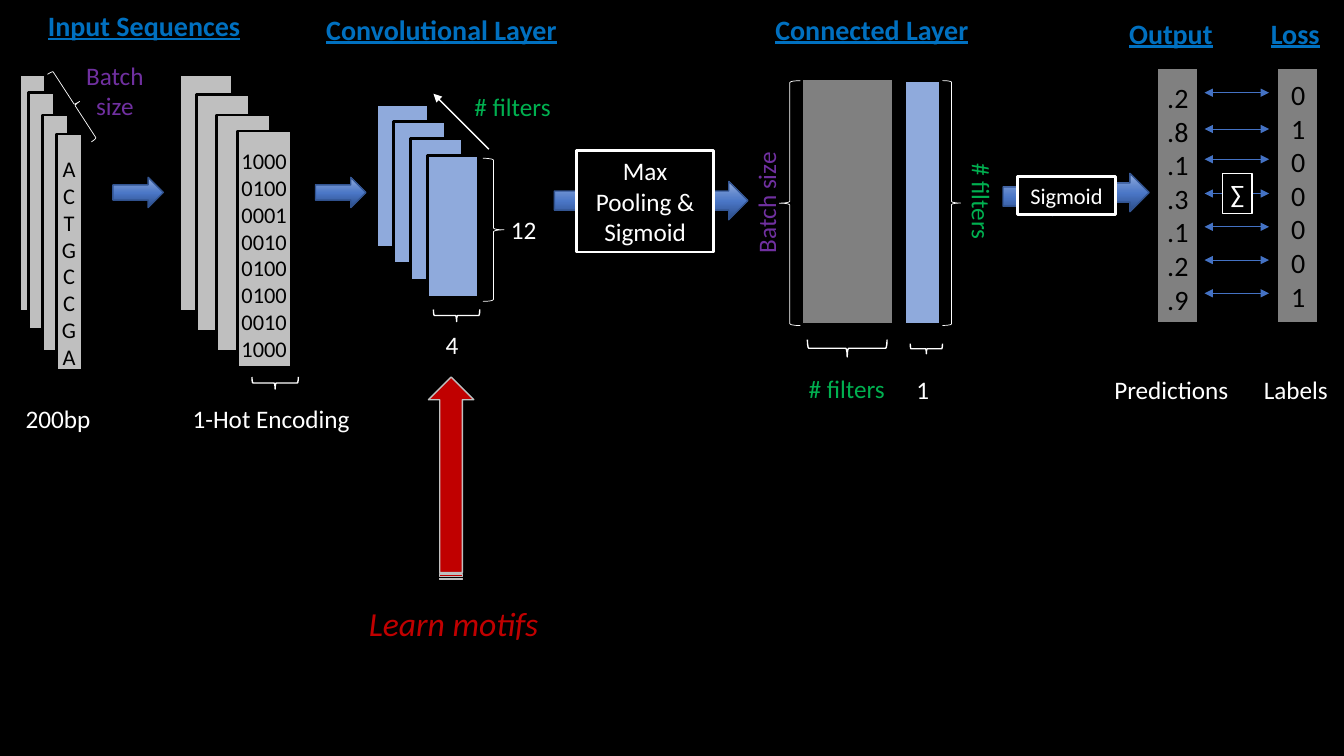
import copy
from dataclasses import dataclass

import lxml.etree
import pptx
import pptx.dml.color
import pptx.enum.shapes
import pptx.enum.text
import pptx.oxml.ns
import pptx.util

KIND = pptx.enum.shapes.MSO_SHAPE
BLACK, WHITE, SILVER, GRAY = "000000", "FFFFFF", "BFBFBF", "808080"
SKY, BLUE, EDGE, LINK = "8FAADC", "0070C0", "325491", "4472C4"
GREEN, PURPLE, RED = "00B050", "7030A0", "C00000"
SHADES = [(0, "2A4B86"), (0.48, "4A76C6"), (1, SKY)]


@dataclass
class Cell:
    """Frame in grid columns and rows, each a tenth of an inch."""
    left: float
    top: float
    wide: float
    high: float
    turn: int = 0


@dataclass
class Text:
    words: str
    size: int = 18
    hue: str = WHITE
    head: bool = False
    slant: bool = False


@dataclass
class Form:
    kind: int
    cell: Cell
    fill: str | None
    line: str
    weight: float
    text: Text | None = None


@dataclass
class Link:
    start: tuple[float, float]
    end: tuple[float, float]
    line: str
    weight: float
    both: bool


def grid(count: float) -> int:
    return pptx.util.Inches(count / 10)


def color(code: str) -> pptx.dml.color.RGBColor:
    return pptx.dml.color.RGBColor.from_string(code)


def place(shape, cell: Cell) -> None:
    shape.left, shape.top = grid(cell.left), grid(cell.top)
    shape.width, shape.height = grid(cell.wide), grid(cell.high)
    shape.rotation = cell.turn


def write(shape, text: Text, anchor: int) -> None:
    frame = shape.text_frame
    frame.text = text.words
    frame.word_wrap = True
    frame.auto_size = pptx.enum.text.MSO_AUTO_SIZE.NONE
    frame.vertical_anchor = anchor
    side = grid(1) if shape.width > grid(10) else 0
    frame.margin_left = frame.margin_right = side
    frame.margin_top = frame.margin_bottom = grid(0.5)
    for para in frame.paragraphs:
        para.alignment = pptx.enum.text.PP_ALIGN.CENTER
        for run in para.runs:
            run.font.name = "Calibri"
            run.font.size = pptx.util.Pt(text.size)
            run.font.color.rgb = color(text.hue)
            run.font.bold = run.font.underline = text.head
            run.font.italic = text.slant


def note(slide, cell: Cell, text: Text) -> None:
    box = slide.shapes.add_textbox(0, 0, 0, 0)
    place(box, cell)
    write(box, text, pptx.enum.text.MSO_ANCHOR.TOP)


def shade(shape) -> None:
    shape.fill.gradient()
    shape.fill.gradient_angle = 90
    stops = shape._element.spPr.find(".//" + pptx.oxml.ns.qn("a:gsLst"))
    stops.append(copy.deepcopy(stops[-1]))
    for stop, (spot, code) in zip(shape.fill.gradient_stops, SHADES):
        stop.position, stop.color.rgb = spot, color(code)


def draw(slide, form: Form) -> None:
    shape = slide.shapes.add_shape(form.kind, 0, 0, 0, 0)
    place(shape, form.cell)
    shape.shadow.inherit = False
    if form.fill == "shade":
        shade(shape)
    elif form.fill:
        shape.fill.solid()
        shape.fill.fore_color.rgb = color(form.fill)
    else:
        shape.fill.background()
    shape.line.color.rgb = color(form.line)
    shape.line.width = pptx.util.Pt(form.weight)
    if form.text:
        write(shape, form.text, pptx.enum.text.MSO_ANCHOR.MIDDLE)


def join(slide, link: Link) -> None:
    ends = [grid(count) for count in link.start + link.end]
    wire = slide.shapes.add_connector(pptx.enum.shapes.MSO_CONNECTOR.STRAIGHT, *ends)
    wire.line.color.rgb = color(link.line)
    wire.line.width = pptx.util.Pt(link.weight)
    line = wire.line._ln
    for tag in ["a:headEnd", "a:tailEnd"] if link.both else ["a:tailEnd"]:
        lxml.etree.SubElement(line, pptx.oxml.ns.qn(tag), type="triangle")
    lxml.etree.SubElement(wire._element.spPr, pptx.oxml.ns.qn("a:effectLst"))


def bar(cell: Cell, fill: str, weight: float = 2) -> Form:
    return Form(KIND.RECTANGLE, cell, fill, BLACK, weight)


def frame(cell: Cell, text: Text, weight: float = 2) -> Form:
    return Form(KIND.RECTANGLE, cell, BLACK, WHITE, weight, text)


# Stacks of sequences, encodings and filters
STRANDS = [(1.9, 7.4), (2.8, 9.2), (4.2, 11.4), (5.6, 13.3)]
CODES = [(17.8, 7.4), (19.5, 9.4), (21.5, 11.4), (23.6, 13)]
BARS = [bar(Cell(x, y, 2.6, 23.5), SILVER) for x, y in STRANDS]
BARS += [bar(Cell(x, y, 5.3, 23.5), SILVER) for x, y in CODES]
BARS += [bar(Cell(37.4 + 1.67 * i, 10.4 + 1.67 * i, 5.1, 14.1), SKY) for i in range(4)]

# Connected layer, predictions and labels
BARS += [bar(Cell(79.6, 7.9, 9, 24.2), GRAY, 1), bar(Cell(89.7, 8, 3.6, 24.2), SKY)]
BARS += [bar(Cell(x, 6.8, 4, 25.2), GRAY, 1) for x in (114.8, 126.7)]

# Block arrows between the stages
FLOW = [Cell(11.2, 17.6, 5, 3), Cell(31.3, 17.6, 5, 3),
        Cell(55, 18, 6.8, 3.8), Cell(66.5, 18, 7.7, 3.8),
        Cell(106.3, 17.2, 7.7, 3.8), Cell(99.5, 17.6, 6.8, 3.8)]
ARROWS = [Form(KIND.RIGHT_ARROW, cell, "shade", EDGE, 1) for cell in FLOW]
ARROWS.append(Form(KIND.STRIPED_RIGHT_ARROW, Cell(34.7, 45.2, 20.1, 4.5, 270), RED, SILVER, 1))

# Braces under and beside the stacks
UNDER = [Cell(26.7, 35.7, 1.2, 4.6, 270), Cell(44.7, 29, 1.2, 4.6, 270),
         Cell(83.2, 30.6, 1.7, 7.9, 270), Cell(91.4, 33, 1, 3.2, 270)]
BESIDE = [Cell(47.9, 15.7, 2.1, 14.2), Cell(77.3, 8, 2.1, 24.3, 180),
          Cell(6.8, 6.4, 1.2, 8, 327), Cell(93.5, 8, 1.8, 24.3)]
BRACES = [Form(KIND.LEFT_BRACE, cell, None, WHITE, 1) for cell in UNDER]
BRACES += [Form(KIND.RIGHT_BRACE, cell, None, WHITE, 0.5) for cell in BESIDE]

# Boxed steps
STEPS = [frame(Cell(57.2, 14.9, 13.6, 10.1), Text("Max Pooling & Sigmoid")),
         frame(Cell(100.9, 17.5, 9.8, 3.8), Text("Sigmoid", 16)),
         frame(Cell(121.3, 17.2, 2.9, 4), Text("∑"), 1)]

# Thin arrows
ROWS = [9.2, 12.8, 15.8, 19.2, 22.5, 25.8, 29.1]
LINKS = [Link((119.5, y), (125.9, y), LINK, 0.5, True) for y in ROWS]
LINKS.append(Link((48.5, 14.8), (43, 9.3), WHITE, 1, False))

# Headings, the first of which is the slide title
TITLE = (Cell(1, 0.3, 26.6, 4.4), "Input Sequences")
HEADS = [(Cell(30.3, 0.7, 27, 4.4), "Convolutional Layer"),
         (Cell(70.3, 0.7, 32.4, 4.4), "Connected Layer"),
         (Cell(101.7, 1.1, 28.9, 4.4), "Output"),
         (Cell(121.2, 1.1, 14.6, 4.4), "Loss")]

# Captions and values
NOTES = [(cell, Text(words, 20, BLUE, head=True)) for cell, words in HEADS]
NOTES += [
    (Cell(15.6, 39.5, 22.6, 4), Text("1-Hot Encoding")),
    (Cell(0.4, 39.5, 10.7, 4), Text("200bp")),
    (Cell(49.3, 20.8, 5.3, 4), Text("12")),
    (Cell(42.2, 32.2, 5.3, 4), Text("4")),
    (Cell(88.9, 36.6, 5.3, 4), Text("1")),
    (Cell(109.2, 36.6, 14, 4), Text("Predictions")),
    (Cell(123.2, 36.6, 10.7, 4), Text("Labels")),
    (Cell(42.2, 8.6, 17.3, 4), Text("# filters", hue=GREEN)),
    (Cell(72.7, 36.5, 22.6, 4), Text("# filters", hue=GREEN)),
    (Cell(86.1, 18, 22.6, 4, 90), Text("# filters", hue=GREEN)),
    (Cell(64.7, 18.1, 22.6, 4, 270), Text("Batch size", hue=PURPLE)),
    (Cell(0.1, 5.5, 22.6, 7.1), Text("Batch\vsize", hue=PURPLE)),
    (Cell(30, 59.3, 30, 5), Text("Learn motifs", 24, RED, slant=True)),
    (Cell(5.3, 14.9, 3.1, 22.6), Text("\n".join("ACTGCCGA"), 16, BLACK)),
    (Cell(22.7, 14.1, 7, 22.6),
     Text("1000\n0100\n0001\n0010\n0100\n0100\n0010\n1000", 16, BLACK)),
    (Cell(126.8, 7.2, 4, 24.6), Text("\n".join("0100001"), 20, BLACK)),
    (Cell(114.4, 7.5, 4.9, 24.6), Text(".2\n.8\n.1\n.3\n.1\n.2\n.9", 20, BLACK)),
]


def main() -> None:
    deck = pptx.Presentation()
    deck.slide_width, deck.slide_height = grid(133.33), grid(75)
    slide = deck.slides.add_slide(deck.slide_layouts[5])
    slide.background.fill.solid()
    slide.background.fill.fore_color.rgb = color(BLACK)
    cell, words = TITLE
    place(slide.shapes.title, cell)
    write(slide.shapes.title, Text(words, 20, BLUE, head=True), pptx.enum.text.MSO_ANCHOR.TOP)
    for link in LINKS:
        join(slide, link)
    for form in BARS + ARROWS + BRACES + STEPS:
        draw(slide, form)
    for cell, text in NOTES:
        note(slide, cell, text)
    deck.save("out.pptx")


if __name__ == "__main__":
    main()
